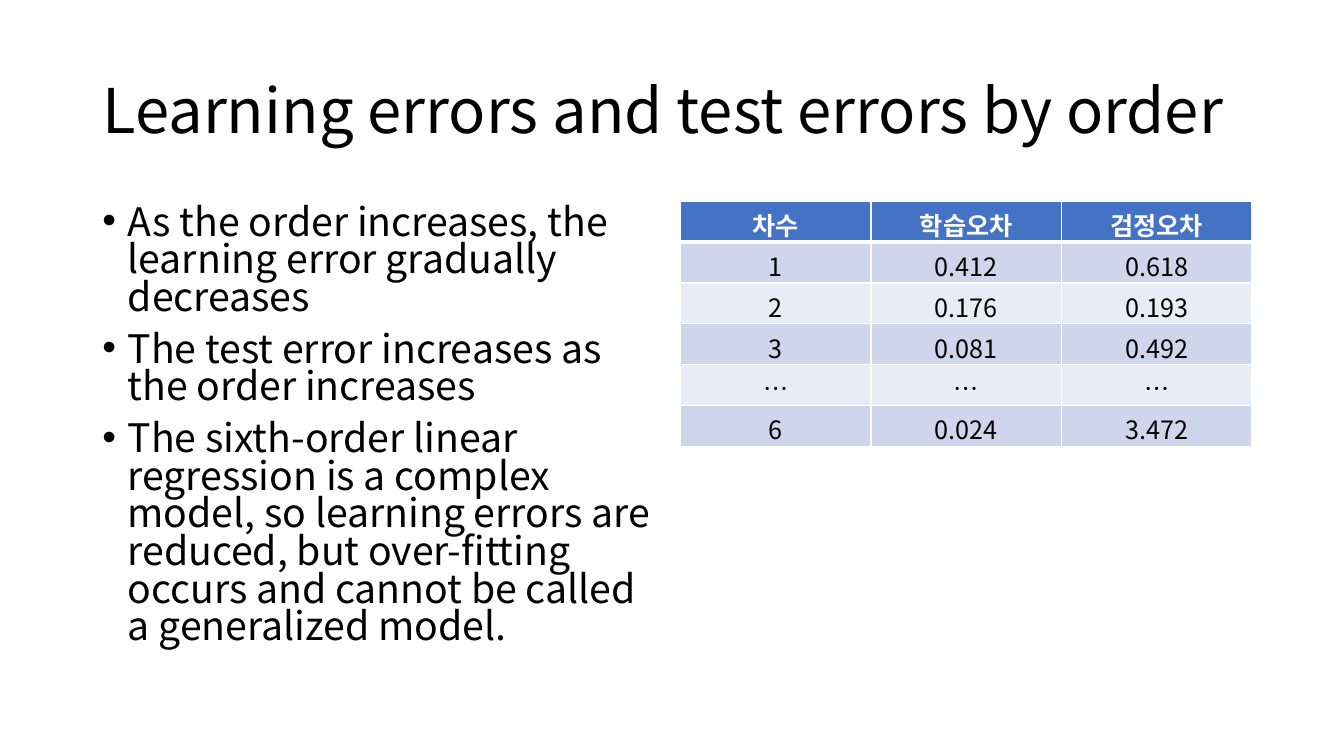
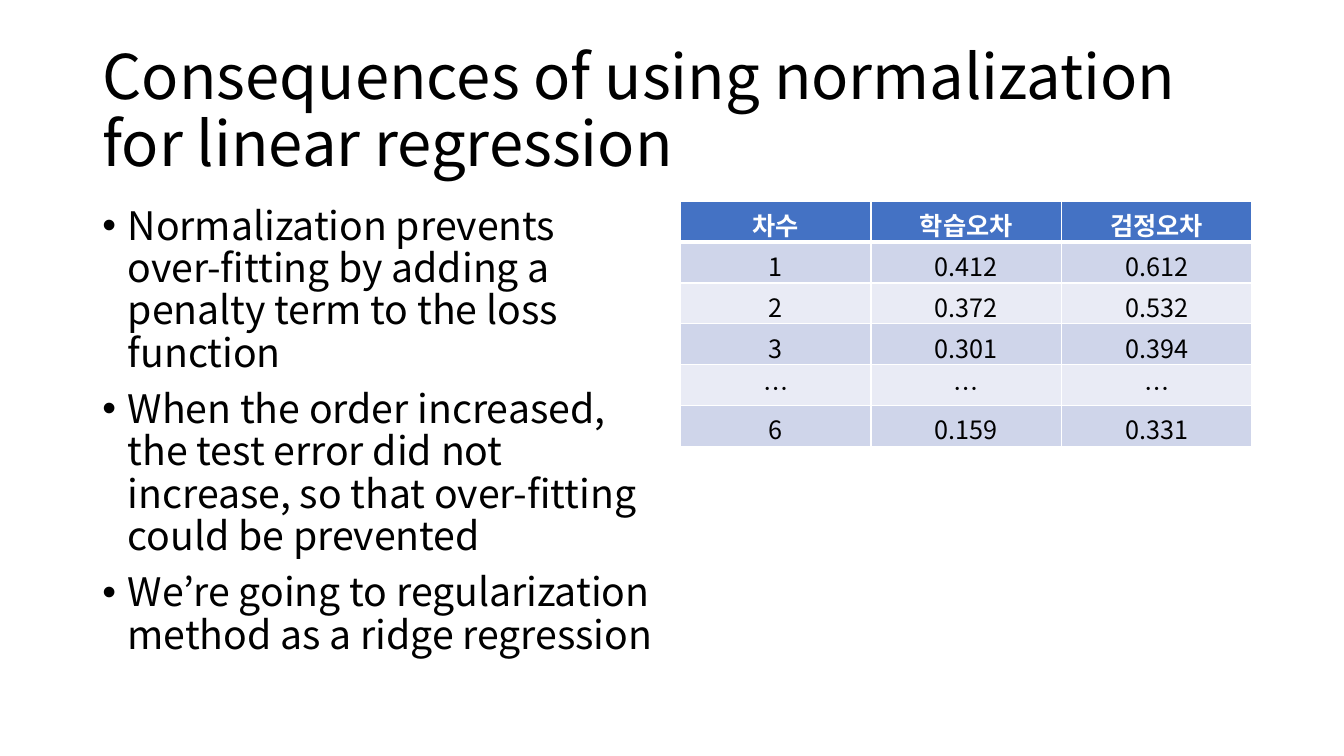
import pptx
import pptx.dml.color
import pptx.enum.lang
import pptx.enum.text
import pptx.oxml
import pptx.oxml.ns
import pptx.util
from pptx.util import Cm

FONT = "Noto Sans CJK KR"
BLACK, WHITE = "000000", "FFFFFF"
HEADER, BANDS = "4472C4", ("CFD5EA", "E9EBF5")
LEFT, TOP, COLUMN_WIDTH = Cm(2.33), Cm(5.07), Cm(14.4)
TABLE_LEFT = Cm(17.15)
HEADINGS = ("차수", "학습오차", "검정오차")
ELLIPSIS_ROW = ("…",) * 3

SLIDES = [
    {
        "title": "Learning errors and test errors by order",
        "spacing": 0.8,
        "bullets": [
            "As the order increases, the learning error gradually decreases",
            "The test error increases as the order increases",
            "The sixth-order linear regression is a complex model, so learning errors are "
            "reduced, but over-fitting occurs and cannot be called a generalized model.",
        ],
        "rows": [
            ("1", "0.412", "0.618"),
            ("2", "0.176", "0.193"),
            ("3", "0.081", "0.492"),
            ELLIPSIS_ROW,
            ("6", "0.024", "3.472"),
        ],
    },
    {
        "title": "Consequences of using normalization for linear regression",
        "spacing": 0.9,
        "bullets": [
            "Normalization prevents over-fitting by adding a penalty term to the loss function",
            "When the order increased, the test error did not increase, so that over-fitting "
            "could be prevented",
            "We’re going to regularization method as a ridge regression",
        ],
        "rows": [
            ("1", "0.412", "0.612"),
            ("2", "0.372", "0.532"),
            ("3", "0.301", "0.394"),
            ELLIPSIS_ROW,
            ("6", "0.159", "0.331"),
        ],
    },
]


def rgb(value):
    """Turn a hex string into a colour."""
    return pptx.dml.color.RGBColor.from_string(value)


def add_xml(parent, xml):
    """Append a DrawingML element written as a string with an open namespace slot."""
    parent.append(pptx.oxml.parse_xml(xml.format(ns=pptx.oxml.ns.nsdecls("a"))))


class Deck:
    """Hold the presentation, its style and the current slide."""

    def __init__(self):
        """Start an empty widescreen presentation."""
        self.prs = pptx.Presentation()
        self.prs.slide_width, self.prs.slide_height = Cm(33.87), Cm(19.05)
        self.s = None

    def style(self, p, size, color=BLACK, bold=False):
        """Format every run of a paragraph."""
        for r in p.runs:
            r.font.size, r.font.bold = pptx.util.Pt(size), bold
            r.font.color.rgb = rgb(color)
            r.font.name = FONT
            add_xml(r.font._element, f'<a:ea {{ns}} typeface="{FONT}"/>')

    def slide(self, title):
        """Add a slide with its title."""
        self.s = self.prs.slides.add_slide(self.prs.slide_layouts[5])
        sp = self.s.shapes.title
        sp.left, sp.top, sp.width, sp.height = LEFT, Cm(1.01), Cm(29.21), Cm(3.68)
        tf = sp.text_frame
        tf.text = title
        tf.word_wrap = True
        tf.auto_size = pptx.enum.text.MSO_AUTO_SIZE.NONE
        tf.vertical_anchor = pptx.enum.text.MSO_ANCHOR.MIDDLE
        p = tf.paragraphs[0]
        p.alignment = pptx.enum.text.PP_ALIGN.LEFT
        p.line_spacing = 0.9
        self.style(p, 44)

    def bullets(self, items, spacing):
        """Add the bulleted text on the left."""
        tf = self.s.shapes.add_textbox(LEFT, TOP, COLUMN_WIDTH, Cm(12.09)).text_frame
        tf.word_wrap = True
        tf.text = "\n".join(items)
        for p in tf.paragraphs:
            p.line_spacing, p.space_before = spacing, pptx.util.Pt(10)
            pPr = p._p.get_or_add_pPr()
            pPr.set("marL", str(Cm(0.64)))
            pPr.set("indent", str(-Cm(0.64)))
            add_xml(pPr, '<a:buFont {ns} typeface="Arial"/>')
            add_xml(pPr, '<a:buChar {ns} char="•"/>')
            self.style(p, 28)

    def borders(self, cell, top, bottom):
        """Draw white cell borders, with top and bottom widths in points."""
        for side, width in (("L", 1), ("R", 1), ("T", top), ("B", bottom)):
            add_xml(
                cell._tc.get_or_add_tcPr(),
                f'<a:ln{side} {{ns}} w="{pptx.util.Pt(width)}"><a:solidFill>'
                f'<a:srgbClr val="{WHITE}"/></a:solidFill></a:ln{side}>',
            )

    def table(self, rows):
        """Add the banded error table on the right."""
        grid = [HEADINGS, *rows]
        table = self.s.shapes.add_table(
            len(grid), len(HEADINGS), TABLE_LEFT, TOP, COLUMN_WIDTH, Cm(1.03) * len(grid)
        ).table
        for i, row in enumerate(grid):
            head = i == 0
            for j, text in enumerate(row):
                cell = table.cell(i, j)
                self.borders(cell, 3 if i == 1 else 1, 3 if head else 1)
                cell.fill.solid()
                cell.fill.fore_color.rgb = rgb(HEADER if head else BANDS[(i - 1) % 2])
                cell.text_frame.text = text
                p = cell.text_frame.paragraphs[0]
                p.alignment = pptx.enum.text.PP_ALIGN.CENTER
                self.style(p, 18, WHITE if head else BLACK, head)
                p.runs[0].font.language_id = pptx.enum.lang.MSO_LANGUAGE_ID.KOREAN


def main():
    """Build and save the slides."""
    deck = Deck()
    for content in SLIDES:
        deck.slide(content["title"])
        deck.bullets(content["bullets"], content["spacing"])
        deck.table(content["rows"])
    deck.prs.save("out.pptx")


if __name__ == "__main__":
    main()
